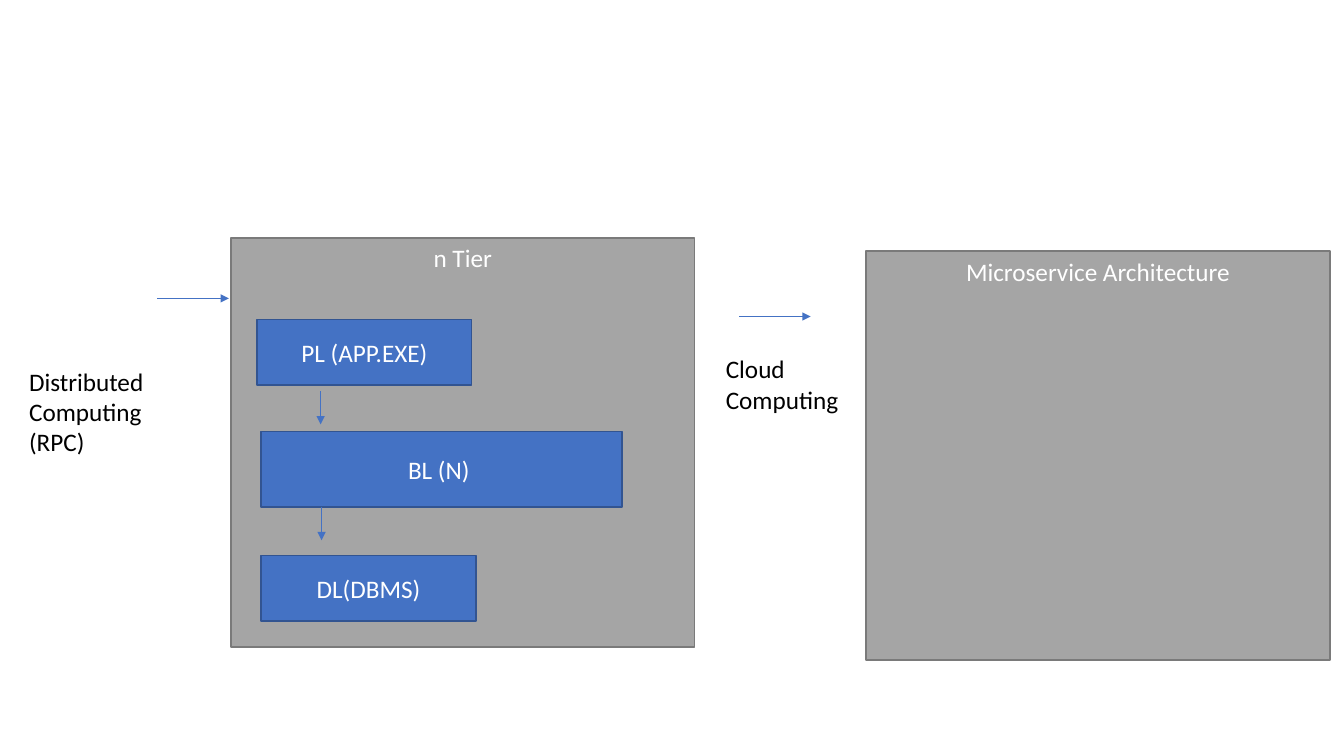
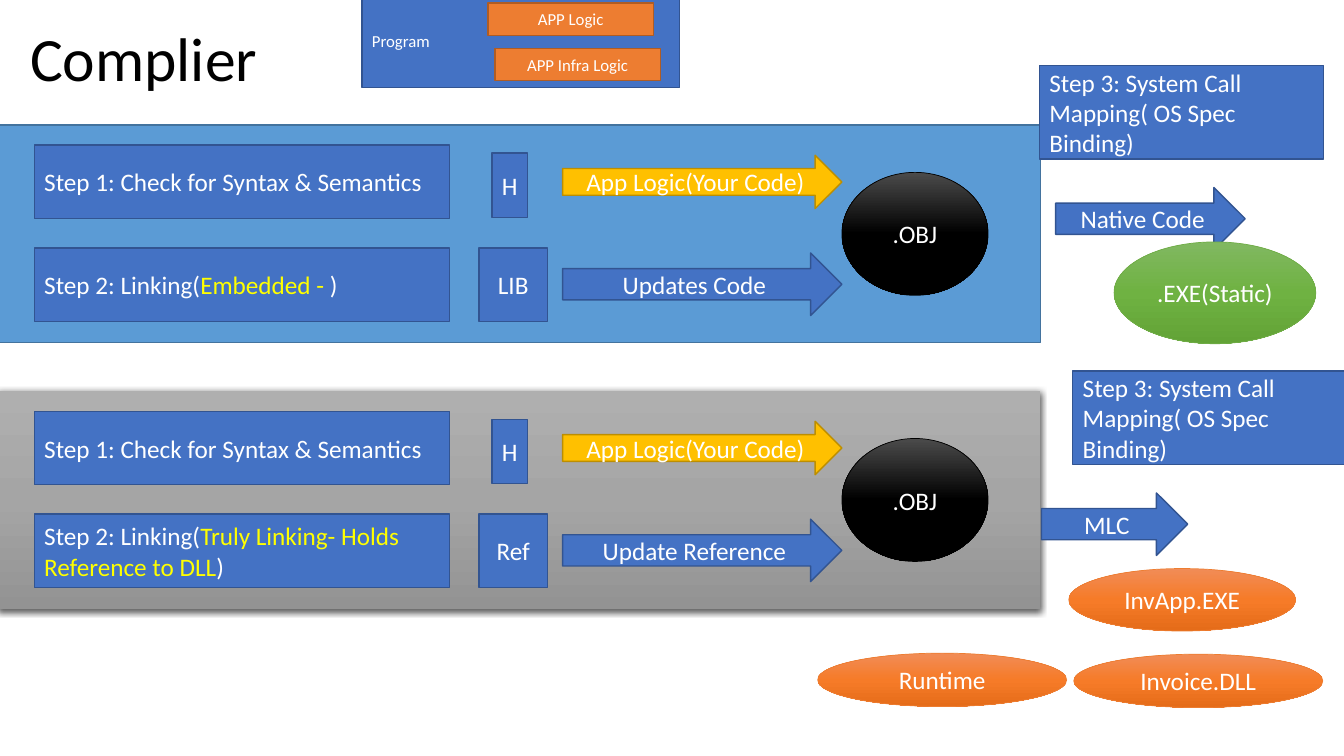
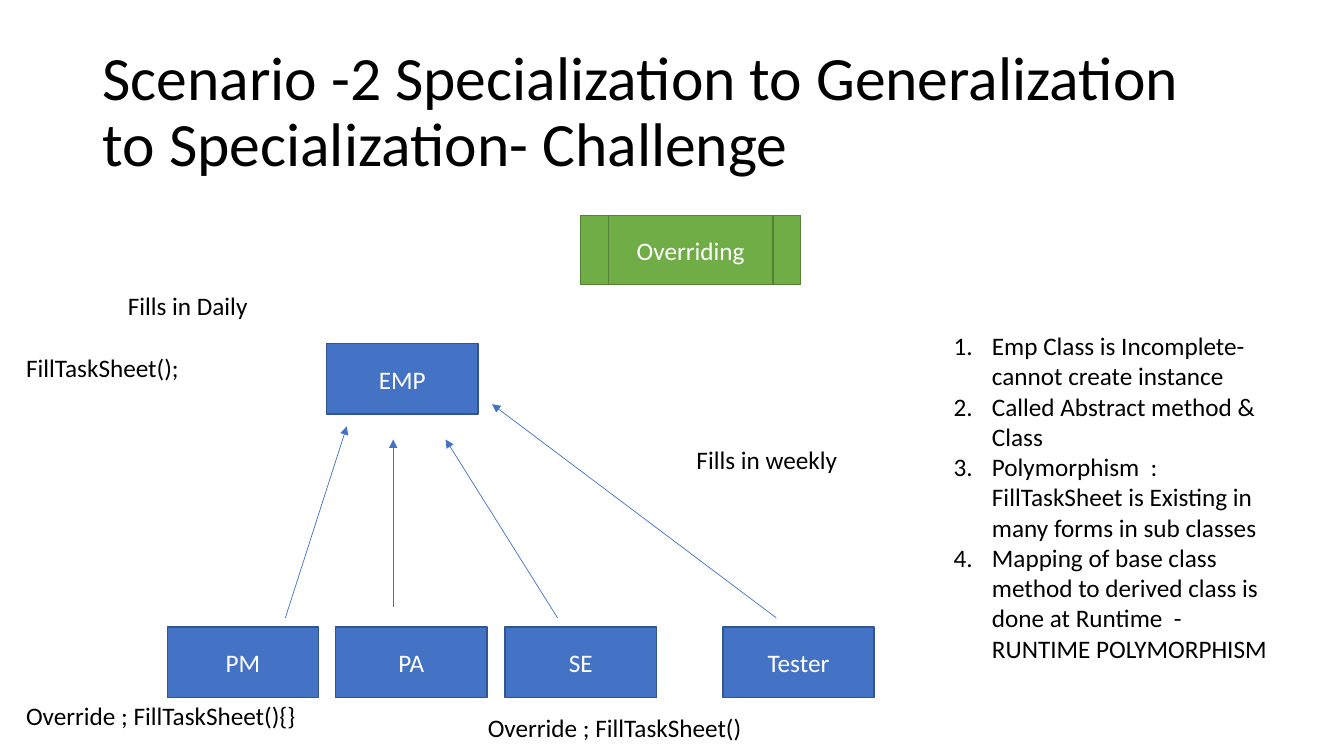
from copy import deepcopy

from pptx import Presentation
from pptx.dml.color import RGBColor
from pptx.enum.shapes import MSO_CONNECTOR, MSO_SHAPE as SHAPE
from pptx.enum.text import MSO_ANCHOR as ANCHOR, MSO_AUTO_SIZE, PP_ALIGN as ALIGN
from pptx.oxml import parse_xml
from pptx.oxml.ns import nsdecls, qn
from pptx.oxml.xmlchemy import OxmlElement
from pptx.util import Inches, Pt

FONT = "Calibri"
BLACK = RGBColor(0x00, 0x00, 0x00)
WHITE = RGBColor(0xFF, 0xFF, 0xFF)
YELLOW = RGBColor(0xFF, 0xFF, 0x00)
BLUE = RGBColor(0x44, 0x72, 0xC4)
ORANGE = RGBColor(0xED, 0x7D, 0x31)
GREEN = RGBColor(0x70, 0xAD, 0x47)
GOLD = RGBColor(0xFF, 0xC0, 0x00)
GRAY = RGBColor(0xA5, 0xA5, 0xA5)
SKY = RGBColor(0x5B, 0x9B, 0xD5)

OUTLINES = {
    BLUE: RGBColor(0x32, 0x54, 0x91),
    ORANGE: RGBColor(0xAF, 0x5C, 0x24),
    GREEN: RGBColor(0x53, 0x80, 0x35),
    GOLD: RGBColor(0xBD, 0x8E, 0x00),
    GRAY: RGBColor(0x7A, 0x7A, 0x7A),
    SKY: RGBColor(0x43, 0x73, 0x9E),
}
GRADIENTS = {
    BLACK: ("4B4B4B", "000000", "000000"),
    GREEN: ("81B861", "6FB242", "62A336"),
    ORANGE: ("F18C57", "F67B28", "E56C19"),
    GRAY: ("AFAFAF", "A5A5A5", "939393"),
}


def write(frame, *paragraphs, size=18, color=BLACK, align=ALIGN.LEFT,
          anchor=ANCHOR.TOP, wrap=True, spacing=None, numbered=False):
    """Fill a frame; a paragraph is a string or a list of (text, colour) runs."""
    frame.word_wrap = wrap
    frame.vertical_anchor = anchor
    for index, content in enumerate(paragraphs):
        paragraph = frame.add_paragraph() if index else frame.paragraphs[0]
        paragraph.alignment = align
        if spacing:
            paragraph.line_spacing = spacing
        if numbered:
            properties = paragraph._p.get_or_add_pPr()
            properties.set("marL", str(Inches(0.38)))
            properties.set("indent", str(Inches(-0.38)))
            number = OxmlElement("a:buAutoNum")
            number.set("type", "arabicPeriod")
            properties.append(number)
        runs = [(content, color)] if isinstance(content, str) else content
        for text, run_color in runs:
            run = paragraph.add_run()
            run.text = text
            run.font.name = FONT
            run.font.size = Pt(size)
            run.font.color.rgb = run_color


def add_title(slide, text, left, top, height):
    title = slide.shapes.add_textbox(Inches(left), Inches(top), Inches(11.5), Inches(height))
    write(title.text_frame, text, size=44, anchor=ANCHOR.MIDDLE, spacing=0.9)


def add_label(slide, *paragraphs, at, **text_format):
    label = slide.shapes.add_textbox(*map(Inches, at))
    write(label.text_frame, *paragraphs, **text_format)
    label.text_frame.auto_size = MSO_AUTO_SIZE.SHAPE_TO_FIT_TEXT


def shade(shape, color):
    """Give a shape the three-step vertical gradient of its colour."""
    shape.fill.gradient()
    shape.fill.gradient_angle = 270
    stop_list = shape._element.spPr.find(qn("a:gradFill")).find(qn("a:gsLst"))
    stop_list.append(deepcopy(stop_list[-1]))
    for stop, position, value in zip(shape.fill.gradient_stops, (0, 0.5, 1), GRADIENTS[color]):
        stop.position = position
        stop.color.rgb = RGBColor.from_string(value)


def add_block(slide, text, at, color=BLUE, kind=SHAPE.RECTANGLE, shaded=False,
              align=ALIGN.CENTER, anchor=ANCHOR.MIDDLE, size=18):
    block = slide.shapes.add_shape(kind, *map(Inches, at))
    block.shadow.inherit = False
    if shaded:
        shade(block, color)
    else:
        block.fill.solid()
        block.fill.fore_color.rgb = color
    block.line.color.rgb = color if shaded else OUTLINES[color]
    block.line.width = Pt(0.5 if shaded else 1)
    if text:
        write(block.text_frame, text, size=size, color=WHITE, align=align, anchor=anchor)
    return block


def add_oval(slide, text, at, color=ORANGE):
    add_block(slide, text, at, color, SHAPE.OVAL, shaded=True)


def add_block_arrow(slide, text, at, color=BLUE):
    add_block(slide, text, at, color, SHAPE.RIGHT_ARROW)


def add_arrow(slide, start, end):
    arrow = slide.shapes.add_connector(MSO_CONNECTOR.STRAIGHT, *map(Inches, start + end))
    arrow.line.color.rgb = BLUE
    arrow.line.width = Pt(0.5)
    head = OxmlElement("a:tailEnd")
    head.set("type", "triangle")
    arrow.line._get_or_add_ln().append(head)
    arrow._element.spPr.append(OxmlElement("a:effectLst"))


def cast_shadow(shape):
    shape._element.spPr.find(qn("a:effectLst")).append(parse_xml(
        f'<a:outerShdw {nsdecls("a")} blurRad="{Pt(4.5)}" dist="{Pt(1.5)}" dir="5400000" '
        'algn="ctr" rotWithShape="0"><a:srgbClr val="000000"><a:alpha val="63000"/>'
        '</a:srgbClr></a:outerShdw>'))


def add_build_panel(slide, top, color, linking, library, update, raised=False):
    """Draw the first two build steps, from source checks to the object file."""
    panel = add_block(slide, None, (-0.03, top, 10.35, 2.16), color, shaded=raised)
    if raised:
        panel.line.fill.background()
        cast_shadow(panel)
    step_2 = [("Step 2: Linking(", WHITE), (linking, YELLOW), (")", WHITE)]
    for text, offset in (("Step 1: Check for Syntax & Semantics", 0.2), (step_2, 1.22)):
        add_block(slide, text, (0.34, top + offset, 4.12, 0.73), align=ALIGN.LEFT)
    add_block(slide, "H", (4.88, top + 0.28, 0.35, 0.64))
    add_block(slide, library, (4.75, top + 1.22, 0.68, 0.73))
    add_block_arrow(slide, "App Logic(Your Code)", (5.58, top + 0.3, 2.77, 0.53), GOLD)
    add_block_arrow(slide, update, (5.58, top + 1.27, 2.77, 0.62))
    add_oval(slide, ".OBJ", (8.35, top + 0.47, 1.45, 1.22), BLACK)


def add_system_call_step(slide, left, top):
    add_block(slide, "Step 3: System Call Mapping( OS Spec Binding)",
              (left, top, 2.82, 0.93), align=ALIGN.LEFT)


def build_architecture(slide):
    for name, left, top in (("n Tier", 2.29, 2.36), ("Microservice Architecture", 8.59, 2.49)):
        add_block(slide, name, (left, top, 4.6, 4.06), GRAY, anchor=ANCHOR.TOP)
    add_block(slide, "PL (APP.EXE)", (2.55, 3.17, 2.13, 0.65))
    add_block(slide, "BL (N) ", (2.59, 4.28, 3.58, 0.75))
    add_block(slide, "DL(DBMS)", (2.59, 5.51, 2.13, 0.65))
    for x, y in ((3.18, 3.88), (3.19, 5.03)):
        add_arrow(slide, (x, y), (x, y + 0.33))
    for x, y in ((1.56, 2.96), (7.33, 3.14)):
        add_arrow(slide, (x, y), (x + 0.71, y))
    add_label(slide, "Distributed Computing (RPC)", at=(0.19, 3.58, 1.88, 1.01))
    add_label(slide, "Cloud Computing", at=(7.1, 3.46, 1.88, 0.71))


def build_compiler(slide):
    add_title(slide, "Complier", 0.2, 0.08, 1.07)
    add_block(slide, "Program", (3.59, -0.06, 3.15, 0.93), align=ALIGN.LEFT, size=12)
    add_block(slide, "APP Logic", (4.84, 0.03, 1.64, 0.32), ORANGE, size=12)
    add_block(slide, "APP Infra Logic", (4.91, 0.48, 1.64, 0.32), ORANGE, size=12)

    add_build_panel(slide, 1.24, SKY, "Embedded - ", "LIB", "Updates Code")
    add_system_call_step(slide, 10.31, 0.65)
    add_block_arrow(slide, "Native Code", (10.47, 1.86, 1.88, 0.62))
    add_oval(slide, ".EXE(Static)", (11.05, 2.4, 2, 1.01), GREEN)

    add_build_panel(slide, 3.88, GRAY, "Truly Linking- Holds Reference to DLL",
                    "Ref", "Update Reference", raised=True)
    add_system_call_step(slide, 10.64, 3.68)
    add_block_arrow(slide, "MLC", (10.33, 4.89, 1.45, 0.62))
    add_oval(slide, "InvApp.EXE", (10.6, 5.64, 2.25, 0.62))
    add_oval(slide, "Invoice.DLL", (10.65, 6.49, 2.47, 0.53))
    add_oval(slide, "Runtime", (8.11, 6.48, 2.47, 0.53))


def build_overriding(slide):
    add_title(slide, "Scenario -2 Specialization to Generalization to Specialization- Challenge",
              0.92, 0.4, 1.45)
    add_block(slide, "Overriding", (5.76, 2.14, 2.18, 0.68), GREEN, SHAPE.FLOWCHART_PREDEFINED_PROCESS)
    add_block(slide, "EMP", (3.24, 3.41, 1.5, 0.7))
    subclasses = (
        ("PM", 1.66, (2.83, 6.13), (3.44, 4.23)),
        ("PA", 3.33, (3.9, 6.02), (3.9, 4.36)),
        ("SE", 5.01, (5.53, 6.13), (4.42, 4.36)),
        ("Tester", 7.17, (7.7, 6.13), (4.88, 4.01)),
    )
    for name, left, start, end in subclasses:
        add_block(slide, name, (left, 6.22, 1.5, 0.7))
        add_arrow(slide, start, end)
    add_label(slide, "Fills in weekly", at=(6.81, 4.36, 1.67, 0.4))
    add_label(slide, "Fills in Daily", at=(1.17, 2.83, 1.67, 0.4))
    for code, left, top, width in (
        ("Override ; FillTaskSheet()", 4.74, 7.02, 2.8),
        ("Override ; FillTaskSheet(){}", 0.16, 6.9, 2.9),
        ("FillTaskSheet();", 0.16, 3.45, 1.73),
    ):
        add_label(slide, code, at=(left, top, width, 0.4), wrap=False)
    add_label(
        slide,
        "Emp Class is Incomplete- cannot create instance",
        "Called Abstract method & Class",
        "Polymorphism  : FillTaskSheet is Existing in many forms in sub classes",
        "Mapping of base class method to derived class is done at Runtime  - RUNTIME POLYMORPHISM",
        at=(9.36, 3.23, 3.32, 3.74), numbered=True)


def main():
    deck = Presentation()
    deck.slide_width, deck.slide_height = Inches(13.33), Inches(7.5)
    for build in (build_architecture, build_compiler, build_overriding):
        build(deck.slides.add_slide(deck.slide_layouts[6]))
    deck.save("out.pptx")


if __name__ == "__main__":
    main()
